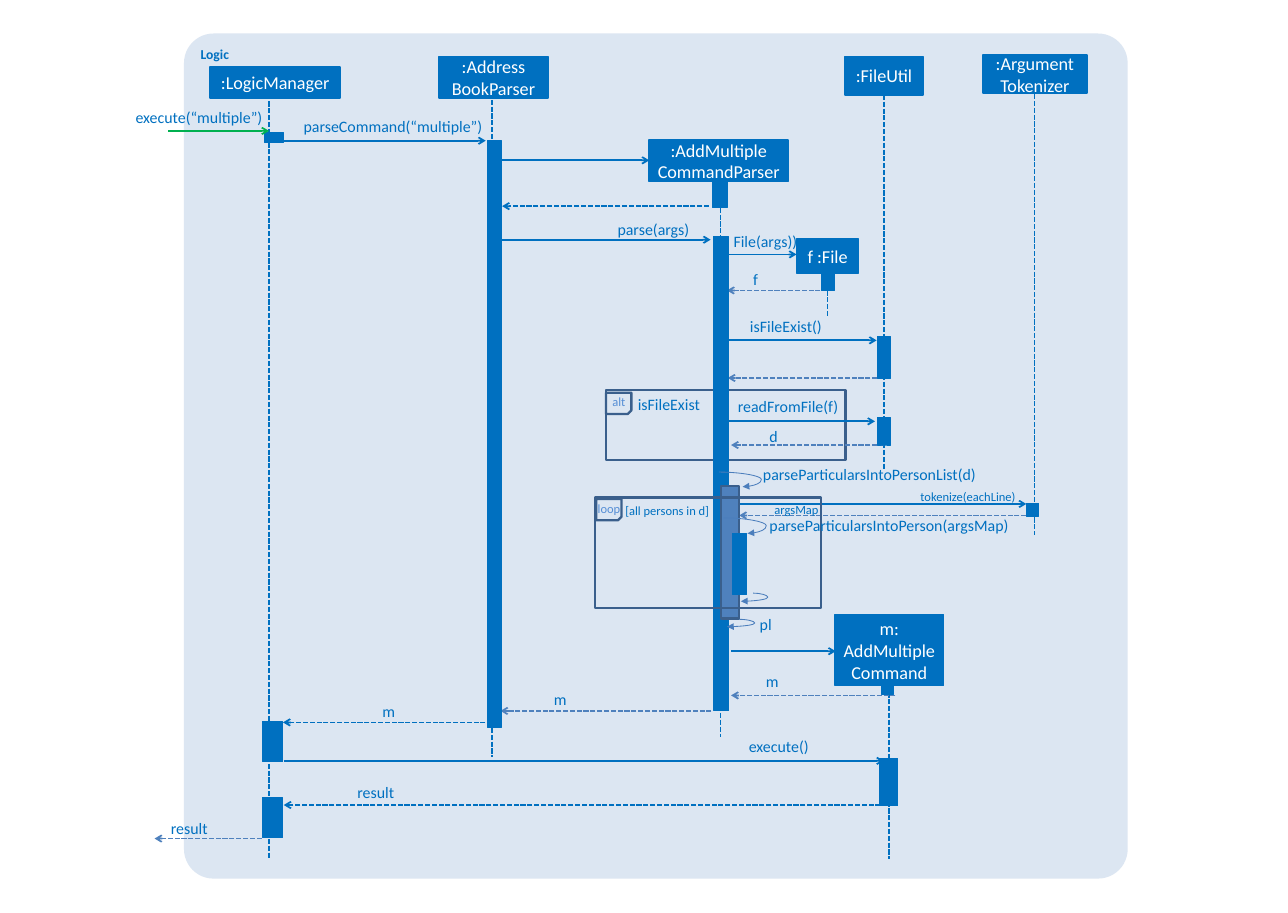
from lxml import etree
from pptx import Presentation
from pptx.dml.color import RGBColor
from pptx.enum.dml import MSO_LINE
from pptx.enum.shapes import MSO_CONNECTOR, MSO_SHAPE
from pptx.enum.text import MSO_ANCHOR, MSO_AUTO_SIZE, PP_ALIGN
from pptx.oxml.ns import qn
from pptx.util import Cm, Pt

RECT, ROUND, SNIP = MSO_SHAPE.RECTANGLE, MSO_SHAPE.ROUNDED_RECTANGLE, MSO_SHAPE.SNIP_1_RECTANGLE
STRAIGHT, CURVE = MSO_CONNECTOR.STRAIGHT, MSO_CONNECTOR.CURVE
LEFT, CENTER, RIGHT = PP_ALIGN.LEFT, PP_ALIGN.CENTER, PP_ALIGN.RIGHT
TOP, MIDDLE = MSO_ANCHOR.TOP, MSO_ANCHOR.MIDDLE
DASH = MSO_LINE.SQUARE_DOT
FIT = MSO_AUTO_SIZE.SHAPE_TO_FIT_TEXT

COLORS = {
    "panel": "DCE6F2", "blue": "0070C0", "soft": "4F81BD", "frame": "3A5F8C",
    "curve": "4B7EBC", "tag": "558ED5", "entry": "00B050", "white": "FFFFFF",
}
GRID = 2.54  # centimetres in one grid unit; all positions below are in grid units


def grid(*units):
    return [Cm(unit * GRID) for unit in units]


def color(name):
    return RGBColor.from_string(COLORS[name])


class SequenceDiagram:
    def __init__(self, slide, font="Calibri"):
        self.shapes = slide.shapes
        self.font = font

    def set_text(self, frame, text, size, ink, align, bold=False):
        frame.text = text
        for para in frame.paragraphs:
            para.alignment = align
            para.font.name = self.font
            para.font.size = Pt(size)
            para.font.bold = bold
            para.font.color.rgb = color(ink)

    def box(self, place, fill=None, line=None, width=0.75, kind=RECT):
        shape = self.shapes.add_shape(kind, *grid(*place))
        shape.shadow.inherit = False
        if fill:
            shape.fill.solid()
            shape.fill.fore_color.rgb = color(fill)
        else:
            shape.fill.background()
        if line:
            shape.line.color.rgb = color(line)
            shape.line.width = Pt(width)
        else:
            shape.line.fill.background()
        return shape

    def panel(self, place, text):
        shape = self.box(place, "panel", kind=ROUND)
        shape.adjustments[0] = 0.035
        shape.text_frame.vertical_anchor = TOP
        self.set_text(shape.text_frame, text, 12, "blue", LEFT, bold=True)

    def participant(self, place, text):
        shape = self.box(place, "blue", "blue", 1.5)
        shape.text_frame.word_wrap = True
        shape.text_frame.vertical_anchor = MIDDLE
        self.set_text(shape.text_frame, text, 16, "white", CENTER)

    def frame(self, place, tag_place):
        """Draw a fragment frame with its cut-corner tag."""
        self.box(place, line="frame", width=2)
        tag = self.box(tag_place, line="frame", width=2, kind=SNIP)
        tag.rotation = 180
        tag.element.spPr.find(qn("a:xfrm")).set("flipH", "1")

    def label(self, place, text, align=RIGHT, size=14):
        frame = self.shapes.add_textbox(*grid(*place)).text_frame
        frame.margin_left = frame.margin_right = frame.margin_top = frame.margin_bottom = 0
        frame.word_wrap = True
        frame.auto_size = FIT
        self.set_text(frame, text, size, "blue", align)

    def tag(self, place, text, ink):
        frame = self.shapes.add_textbox(*grid(*place)).text_frame
        frame.word_wrap = False
        frame.auto_size = FIT
        self.set_text(frame, text, 11, ink, LEFT)

    def line(self, start, end, ink="blue", width=1.5, dashed=False, arrow=None, kind=STRAIGHT):
        connector = self.shapes.add_connector(kind, *grid(*start, *end))
        connector.line.color.rgb = color(ink)
        connector.line.width = Pt(width)
        if dashed:
            connector.line.dash_style = DASH
        properties = connector.element.spPr
        if arrow:
            outline = properties.find(qn("a:ln"))
            etree.SubElement(outline, qn("a:tailEnd")).set("type", arrow)
        etree.SubElement(properties, qn("a:effectLst"))
        return connector

    def message(self, left, right, y, ink="blue"):
        self.line((left, y), (right, y), ink, arrow="arrow")

    def reply(self, left, right, y, ink):
        self.line((right, y), (left, y), ink, dashed=True, arrow="arrow")

    def self_call(self, start, end, bulge):
        """Draw a curve that swings out to x = bulge before it returns."""
        connector = self.line(start, end, "curve", 0.75, arrow="triangle", kind=CURVE)
        share = (bulge - start[0]) / (end[0] - start[0])
        guides = connector.element.spPr.find(qn("a:prstGeom")).find(qn("a:avLst"))
        guide = etree.SubElement(guides, qn("a:gd"))
        guide.set("name", "adj1")
        guide.set("fmla", f"val {round(share * 100000)}")


LIFELINES = [  # x, top, bottom
    (3.29, 1.24, 10.5), (6.02, 1.22, 9.25), (8.81, 2.54, 9.01), (10.12, 3.55, 3.87),
    (10.81, 1.16, 5.74), (10.87, 8.38, 10.5), (12.65, 1.15, 6.54),
]
MESSAGES = [  # left, right, y
    (3.47, 5.94, 1.72), (6.12, 7.94, 1.96), (6.14, 8.69, 2.93), (8.92, 9.74, 3.11),
    (8.89, 10.72, 4.16), (8.82, 10.7, 5.15), (9.04, 12.55, 6.16), (8.94, 10.22, 7.96),
    (3.47, 10.81, 9.3),
]
REPLIES = [  # left, right, y, colour
    (6.14, 8.67, 2.52, "blue"), (8.89, 10.2, 3.55, "soft"), (8.9, 10.81, 4.62, "soft"),
    (8.94, 10.81, 5.44, "soft"), (9.04, 12.55, 6.3, "soft"), (8.94, 10.95, 8.5, "soft"),
    (6.12, 8.7, 8.69, "soft"), (3.46, 6.02, 8.83, "blue"), (3.47, 10.85, 9.84, "blue"),
    (1.89, 3.2, 10.25, "soft"),
]
ACTIVATIONS = [  # left, top, width, height
    (3.23, 1.62, 0.24, 0.12), (3.21, 8.82, 0.25, 0.49), (3.21, 9.75, 0.25, 0.49),
    (5.96, 1.72, 0.17, 7.17), (8.71, 2.21, 0.18, 0.33), (8.73, 2.89, 0.18, 5.8),
    (10.04, 3.28, 0.17, 0.27), (10.73, 4.11, 0.16, 0.52), (10.73, 5.1, 0.16, 0.34),
    (10.78, 8.33, 0.15, 0.16), (10.76, 9.27, 0.22, 0.58), (12.55, 6.15, 0.15, 0.16),
]
PARTICIPANTS = [
    ((2.57, 0.82, 1.59, 0.38), ":LogicManager"),
    ((5.37, 0.69, 1.33, 0.51), ":Address\nBookParser"),
    ((7.94, 1.71, 1.7, 0.51), ":AddMultiple\nCommandParser"),
    ((9.74, 2.92, 0.76, 0.42), "f :File"),
    ((10.33, 0.69, 0.96, 0.47), ":FileUtil"),
    ((12.02, 0.67, 1.27, 0.47), ":Argument\nTokenizer"),
    ((10.21, 7.51, 1.33, 0.87), "m:\nAddMultiple\vCommand"),
]
SELF_CALLS = [  # start, end, bulge
    ((8.79, 5.77), (9.08, 5.95), 9.31), ((8.85, 6.33), (9.14, 6.52), 9.37),
    ((9.21, 7.25), (9.06, 7.35), 9.39), ((9.04, 7.57), (8.89, 7.66), 9.23),
]
RIGHT_LABELS = [  # left, top, width, text
    (1.65, 1.31, 1.56, "execute(“multiple”)"), (3.67, 1.43, 2.23, "parseCommand(“multiple”)"),
    (6.87, 2.68, 1.56, "parse(args)"), (8.19, 2.83, 1.56, "File(args))"),
    (8.61, 3.3, 0.66, "f"), (9.11, 3.87, 0.94, "isFileExist()"),
    (7.62, 4.82, 0.94, "isFileExist"), (8.96, 4.85, 1.29, "readFromFile(f)"),
    (8.8, 5.21, 0.71, "d"), (9.28, 8.21, 0.24, "m"), (6.69, 8.43, 0.24, "m"),
    (4.59, 8.58, 0.24, "m"), (8.95, 9.01, 0.94, "execute()"),
    (3.99, 9.57, 0.83, "result"), (1.71, 10.01, 0.83, "result"),
]
LEFT_LABELS = [
    (9.33, 5.68, 2.63, "parseParticularsIntoPersonList(d)"),
    (9.41, 6.3, 2.97, "parseParticularsIntoPerson(argsMap)"), (9.29, 7.51, 0.2, "pl"),
]


def main():
    deck = Presentation()
    deck.slide_width, deck.slide_height = grid(15.75, 11.16)
    diagram = SequenceDiagram(deck.slides.add_slide(deck.slide_layouts[6]))

    diagram.panel((2.25, 0.41, 11.54, 10.33), "Logic")
    for x, top, bottom in LIFELINES:
        diagram.line((x, top), (x, bottom), dashed=True)
    diagram.frame((7.41, 4.77, 2.93, 0.85), (7.41, 4.8, 0.31, 0.26))
    for message in MESSAGES:
        diagram.message(*message)
    for reply in REPLIES:
        diagram.reply(*reply)
    for place in ACTIVATIONS:
        diagram.box(place, "blue", "blue")
    diagram.box((8.82, 5.94, 0.22, 1.62), "soft", "frame", 2)
    diagram.box((8.96, 6.52, 0.17, 0.75), "blue", "blue")
    diagram.message(2.06, 3.29, 1.6, "entry")
    for place, name in PARTICIPANTS:
        diagram.participant(place, name)
    diagram.frame((7.28, 6.08, 2.76, 1.35), (7.29, 6.1, 0.31, 0.26))
    for self_call in SELF_CALLS:
        diagram.self_call(*self_call)

    for labels, align in ((RIGHT_LABELS, RIGHT), (LEFT_LABELS, LEFT)):
        for left, top, width, text in labels:
            diagram.label((left, top, width, 0.24), text, align)
    diagram.label((7.63, 6.15, 1.06, 0.19), "[all persons in d]", CENTER, 11)
    diagram.label((9.79, 5.98, 2.63, 0.19), "tokenize(eachLine)", RIGHT, 11)
    diagram.tag((7.39, 4.77, 0.36, 0.29), "alt", "tag")
    diagram.tag((7.21, 6.08, 0.48, 0.29), "loop", "tag")
    diagram.tag((9.37, 6.09, 0.75, 0.29), "argsMap", "blue")
    deck.save("out.pptx")


if __name__ == "__main__":
    main()
